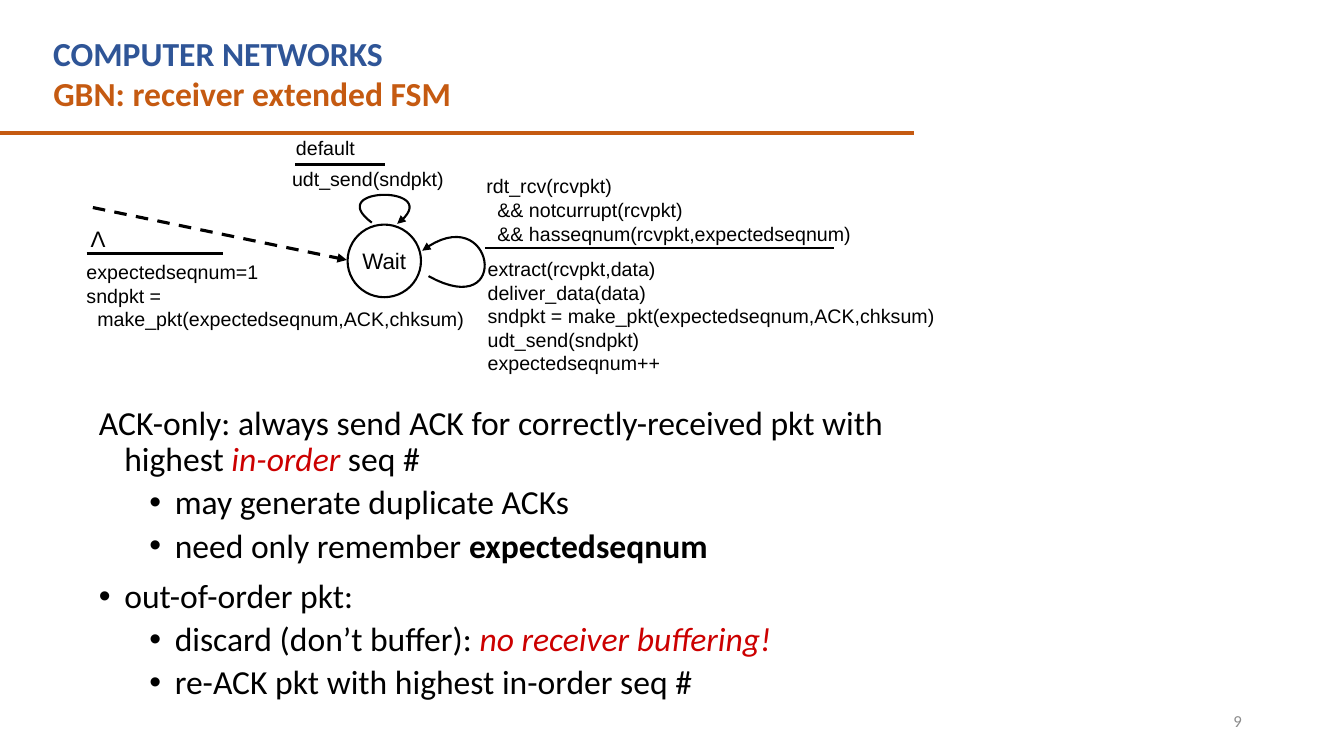
from dataclasses import dataclass

from lxml import etree
from pptx import Presentation
from pptx.dml.color import RGBColor
from pptx.enum.dml import MSO_LINE
from pptx.enum.shapes import MSO_CONNECTOR, MSO_SHAPE
from pptx.enum.text import MSO_ANCHOR, MSO_AUTO_SIZE, PP_ALIGN
from pptx.oxml.ns import qn
from pptx.util import Cm, Pt

LEFT, CENTER, RIGHT = PP_ALIGN.LEFT, PP_ALIGN.CENTER, PP_ALIGN.RIGHT
TOP, MIDDLE = MSO_ANCHOR.TOP, MSO_ANCHOR.MIDDLE
NO_AUTOFIT = MSO_AUTO_SIZE.NONE
STRAIGHT = MSO_CONNECTOR.STRAIGHT
OVAL = MSO_SHAPE.OVAL
DASH = MSO_LINE.DASH


@dataclass(frozen=True)
class Theme:
    black: str = "000000"
    white: str = "FFFFFF"
    blue: str = "2F5597"
    orange: str = "C55A11"
    red: str = "CC0000"
    gray: str = "8C8C8C"
    text_font: str = "Calibri"
    code_font: str = "Arial"
    text_size: float = 24
    state_size: float = 16
    code_size: float = 14
    number_size: float = 12


THEME = Theme()


def write_text(frame, lines, font=THEME.code_font, size=THEME.code_size, color=THEME.black,
               bold=False, align=LEFT, anchor=TOP, wrap=True, spacing=1.0):
    """Fill a text frame; a line is a string or a list of (text, run format) pairs."""
    frame.word_wrap = wrap
    frame.auto_size = NO_AUTOFIT
    frame.vertical_anchor = anchor
    for number, line in enumerate(lines):
        paragraph = frame.paragraphs[0] if number == 0 else frame.add_paragraph()
        paragraph.alignment = align
        paragraph.line_spacing = spacing
        for text, run_format in [(line, {})] if isinstance(line, str) else line:
            run = paragraph.add_run()
            run.text = text
            run.font.name = font
            run.font.size = Pt(size)
            run.font.bold = run_format.get("bold", bold)
            run.font.italic = run_format.get("italic", False)
            run.font.color.rgb = RGBColor.from_string(run_format.get("color", color))


def style_line(shape, width, color=THEME.black, dash=None, arrow=False):
    """Format a line or outline and keep it free of shadow."""
    shape.line.color.rgb = RGBColor.from_string(color)
    shape.line.width = Pt(width)
    if dash:
        shape.line.dash_style = dash
    properties = shape._element.spPr
    if arrow:
        etree.SubElement(properties.find(qn("a:ln")), qn("a:tailEnd"), type="triangle")
    etree.SubElement(properties, qn("a:effectLst"))


presentation = Presentation()
presentation.slide_width = Cm(33.87)
presentation.slide_height = Cm(19.05)
slide = presentation.slides.add_slide(presentation.slide_layouts[1])
shapes = slide.shapes

# Title and body
title, body = slide.placeholders
title.left, title.top, title.width, title.height = Cm(1.09), Cm(1.72), Cm(22.23), Cm(1.27)
write_text(title.text_frame, ["GBN: receiver extended FSM"], font=THEME.text_font,
           size=THEME.text_size, color=THEME.orange, bold=True)

emphasis = {"color": THEME.red, "italic": True}
body_items = [  # level, bullet, line
    (0, False, [("ACK-only: always send ACK for correctly-received pkt with highest ", {}),
                ("in-order", emphasis), (" seq #", {})]),
    (1, True, "may generate duplicate ACKs"),
    (1, True, [("need only remember ", {}), ("expectedseqnum", {"bold": True})]),
    (0, True, "out-of-order pkt:"),
    (1, True, [("discard (don’t buffer): ", {}), ("no receiver buffering!", emphasis)]),
    (1, True, "re-ACK pkt with highest in-order seq #"),
]
body.left, body.top, body.width, body.height = Cm(2.24), Cm(10.11), Cm(22.63), Cm(7.92)
write_text(body.text_frame, [line for _, _, line in body_items], font=THEME.text_font,
           size=THEME.text_size, spacing=0.9)
for number, (level, bullet, _) in enumerate(body_items):
    paragraph = body.text_frame.paragraphs[number]
    paragraph.level = level
    properties = paragraph._p.get_or_add_pPr()
    properties.set("marL", str(Cm(0.64 + 1.27 * level)))
    properties.set("indent", str(-Cm(0.64)))
    if bullet:
        etree.SubElement(properties, qn("a:buFont"), typeface="Arial")
        etree.SubElement(properties, qn("a:buChar"), char="•")
    else:
        etree.SubElement(properties, qn("a:buNone"))
    paragraph.space_before = Pt(0 if number == 0 else 5 if level else 10)

# Receiver state
state = shapes.add_shape(OVAL, Cm(8.76), Cm(5.66), Cm(1.85), Cm(1.83))
state.fill.solid()
state.fill.fore_color.rgb = RGBColor.from_string(THEME.white)
style_line(state, 1.5)
frame = state.text_frame
frame.margin_left = frame.margin_right = frame.margin_top = frame.margin_bottom = 0
write_text(frame, ["Wait"], size=THEME.state_size, align=CENTER, anchor=MIDDLE, wrap=False)

# Title rule, start arrow and the rules between events and actions
straight_lines = [
    (0, 3.35, 23.04, 3.35, {"width": 3, "color": THEME.orange}),
    (2.34, 5.23, 8.74, 6.55, {"width": 2.25, "dash": DASH, "arrow": True}),
    (7.44, 4.14, 9.7, 4.14, {"width": 2.25}),
    (12.22, 6.25, 21.03, 6.25, {"width": 1.5}),
    (2.18, 6.38, 5.61, 6.38, {"width": 2.25}),
]
for x1, y1, x2, y2, line_format in straight_lines:
    connector = shapes.add_connector(STRAIGHT, Cm(x1), Cm(y1), Cm(x2), Cm(y2))
    style_line(connector, **line_format)

# Loops from the state back to itself, as cubic Bézier curves
CURVE_STEPS = 32
loops = [
    [(10.8, 6.96), (12.95, 8.15), (12.45, 4.95), (10.64, 6.32)],
    [(9.37, 5.61), (8.1, 4.67), (11.3, 4.67), (10.01, 5.64)],
]
for controls in loops:
    points = []
    for step in range(CURVE_STEPS + 1):
        t = step / CURVE_STEPS
        weights = ((1 - t) ** 3, 3 * t * (1 - t) ** 2, 3 * t ** 2 * (1 - t), t ** 3)
        points.append(tuple(Cm(sum(w * value for w, value in zip(weights, axis)))
                            for axis in zip(*controls)))
    builder = shapes.build_freeform(*points[0])
    builder.add_line_segments(points[1:], close=False)
    loop = builder.convert_to_shape()
    loop.fill.background()
    style_line(loop, 1.5, arrow=True)

# Labels
labels = [
    (1.09, 0.71, 20.83, 1.27, ["COMPUTER NETWORKS"],
     {"font": THEME.text_font, "size": THEME.text_size, "color": THEME.blue, "bold": True}),
    (7.21, 3.3, 2.01, 0.69, ["default"], {}),
    (7.11, 4.09, 4.5, 0.86, ["udt_send(sndpkt)"], {}),
    (12.01, 4.27, 9.91, 1.57,
     ["rdt_rcv(rcvpkt)", "  && notcurrupt(rcvpkt)",
      "  && hasseqnum(rcvpkt,expectedseqnum)"], {}),
    (12.04, 6.35, 11.99, 2.39,
     ["extract(rcvpkt,data)", "deliver_data(data)",
      "sndpkt = make_pkt(expectedseqnum,ACK,chksum)",
      "udt_send(sndpkt)", "expectedseqnum++"], {}),
    (2.03, 5.54, 0.89, 0.94, ["Λ"],
     {"size": THEME.state_size, "align": CENTER, "wrap": False}),
    (1.93, 6.43, 10.11, 2.72,
     ["expectedseqnum=1", "sndpkt =", "  make_pkt(expectedseqnum,ACK,chksum)"], {}),
    (23.93, 17.65, 7.62, 1.02, ["9"],
     {"font": THEME.text_font, "size": THEME.number_size, "color": THEME.gray,
      "align": RIGHT, "anchor": MIDDLE}),
]
for left, top, width, height, lines, text_format in labels:
    box = shapes.add_textbox(Cm(left), Cm(top), Cm(width), Cm(height))
    write_text(box.text_frame, lines, **text_format)

presentation.save("out.pptx")
